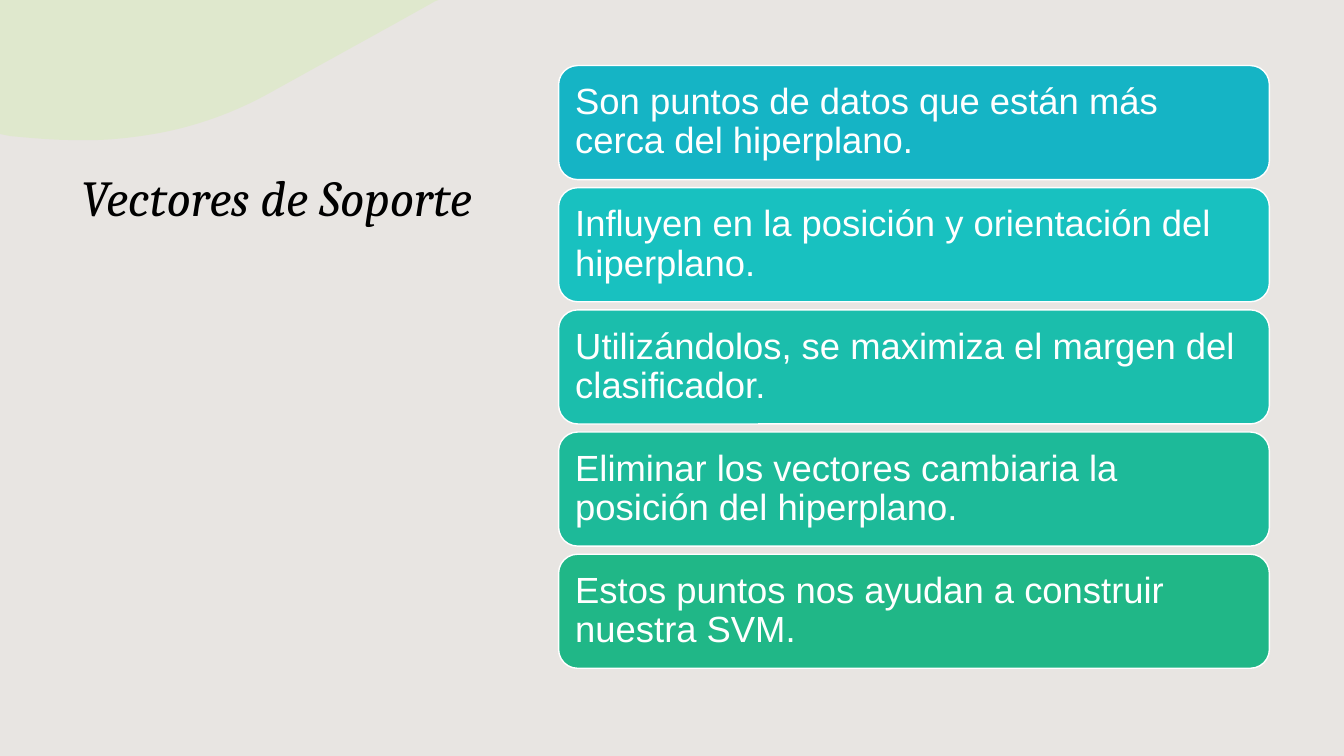
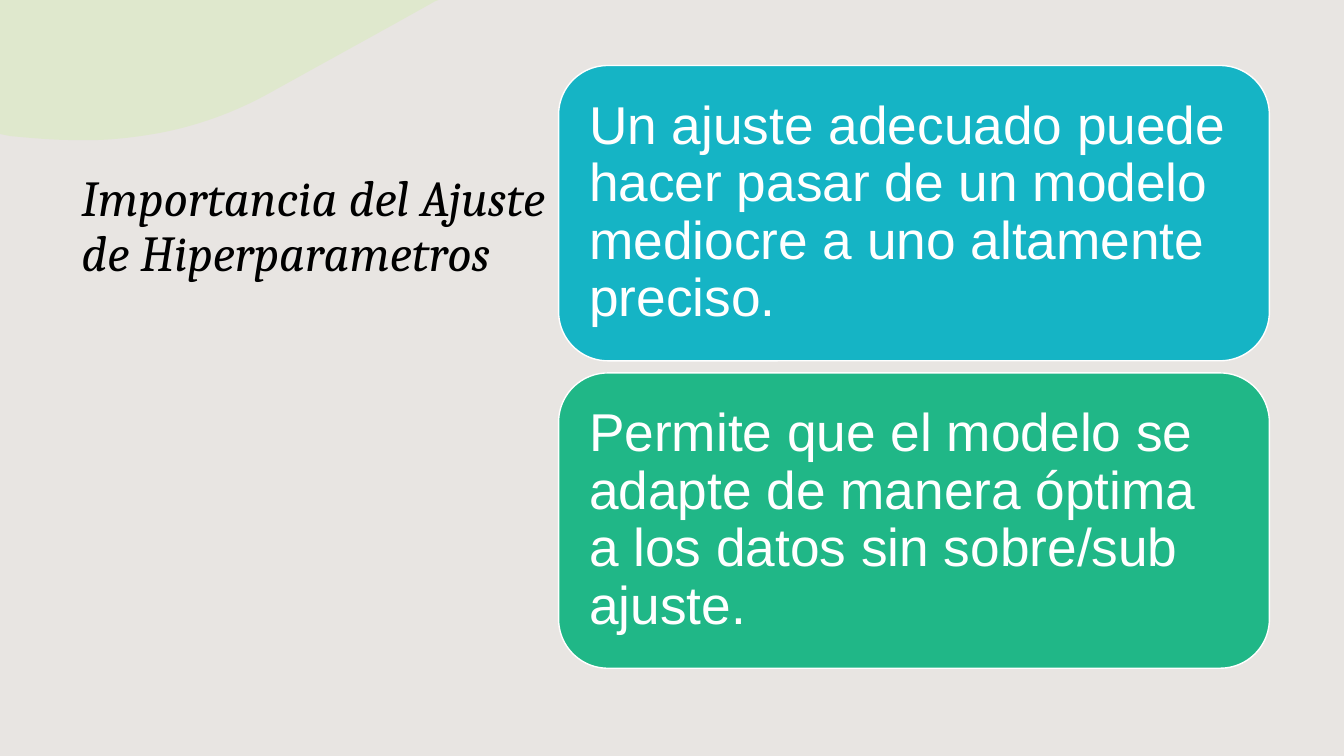
"""Two slides on support vector machines: a serif title beside a stack of cards."""
import pptx
import pptx.util
import pptx.dml.color
import pptx.enum.shapes
import pptx.enum.text
import pptx.oxml.ns
from lxml import etree

Inches, Pt = pptx.util.Inches, pptx.util.Pt
RGB = pptx.dml.color.RGBColor
ANCHOR = pptx.enum.text.MSO_ANCHOR
ALIGN = pptx.enum.text.PP_ALIGN

PAPER = RGB(0xE8, 0xE5, 0xE2)
LEAF = RGB(0xC8, 0xF3, 0x90)
INK = RGB(0, 0, 0)
WHITE = RGB(0xFF, 0xFF, 0xFF)
TEAL = RGB(0x15, 0xB4, 0xC5)
AQUA = RGB(0x18, 0xC1, 0xC0)
JADE = RGB(0x1B, 0xBE, 0xAC)
MINT = RGB(0x1D, 0xBA, 0x99)
GREEN = RGB(0x20, 0xB7, 0x87)

SLIDES = [
    {"title": "Vectores de Soporte", "size": 26, "gap": 0.08, "inset": 0.11,
     "cards": [
         ("Son puntos de datos que están más cerca del hiperplano.", TEAL),
         ("Influyen en la posición y orientación del hiperplano.", AQUA),
         ("Utilizándolos, se maximiza el margen del clasificador.", JADE),
         ("Eliminar los vectores cambiaria la posición del hiperplano.", MINT),
         ("Estos puntos nos ayudan a construir nuestra SVM.", GREEN)]},
    {"title": "Importancia del Ajuste de Hiperparametros", "size": 38, "gap": 0.12, "inset": 0.16,
     "cards": [
         ("Un ajuste adecuado puede hacer pasar de un modelo mediocre a uno altamente preciso.", TEAL),
         ("Permite que el modelo se adapte de manera óptima a los datos sin sobre/sub ajuste.", GREEN)]},
]

TITLE_BOX = (0.71, 1.67, 4.84, 4.97)
STACK = (5.54, 0.65, 7.05, 5.98)
TITLE_FONT = {"name": "Cambria", "size": Pt(36), "italic": True}
CORNER_START = (0.74, 1.39)
CORNER = [
    [(0.53, 1.39), (0.31, 1.37), (0.1, 1.35)],
    [(0, 1.33)], [(0, 0)], [(4.35, 0)], [(4.32, 0.01)],
    [(3.77, 0.32), (3.2, 0.63), (2.68, 0.92)],
    [(2.32, 1.12), (1.95, 1.25), (1.58, 1.32)],
    [(1.3, 1.37), (1.02, 1.4), (0.74, 1.39)],
]
CURVE_STEPS = 16


def bezier(points, t):
    while len(points) > 1:
        points = [tuple(a + (b - a) * t for a, b in zip(p, q))
                  for p, q in zip(points, points[1:])]
    return points[0]


def outline(start, segments):
    pen, points = start, []
    for seg in segments:
        steps = CURVE_STEPS if len(seg) == 3 else 1
        points += [bezier([pen, *seg], i / steps) for i in range(1, steps + 1)]
        pen = seg[-1]
    return points


def write(sp, text, font, color, anchor, insets):
    tf = sp.text_frame
    left, top = (Inches(v) for v in insets)
    frame = {"word_wrap": True, "vertical_anchor": anchor, "margin_left": left,
             "margin_right": left, "margin_top": top, "margin_bottom": top}
    for key, value in frame.items():
        setattr(tf, key, value)
    p = tf.paragraphs[0]
    p.alignment = ALIGN.LEFT
    p.line_spacing = 0.9
    r = p.add_run()
    r.text = text
    for key, value in font.items():
        setattr(r.font, key, value)
    r.font.color.rgb = color


def paint(sp, color):
    sp.shadow.inherit = False
    sp.fill.solid()
    sp.fill.fore_color.rgb = color


def add_corner(s):
    emu = [tuple(Inches(v) for v in pt) for pt in [CORNER_START, *outline(CORNER_START, CORNER)]]
    builder = s.shapes.build_freeform(*emu[0])
    builder.add_line_segments(emu[1:], close=True)
    sp = builder.convert_to_shape()
    paint(sp, LEAF)
    sp.line.fill.background()
    qn = pptx.oxml.ns.qn
    color = sp.fill._xPr.find(qn("a:solidFill")).find(qn("a:srgbClr"))
    etree.SubElement(color, qn("a:alpha")).set("val", "25000")


def add_cards(s, cards, size, gap, inset):
    left, top, width, height = STACK
    card_h = (height - gap * (len(cards) - 1)) / len(cards)
    for i, (text, color) in enumerate(cards):
        box = (left, top + i * (card_h + gap), width, card_h)
        sp = s.shapes.add_shape(pptx.enum.shapes.MSO_SHAPE.ROUNDED_RECTANGLE,
                                *(Inches(v) for v in box))
        paint(sp, color)
        sp.line.color.rgb = WHITE
        sp.line.width = Pt(1)
        write(sp, text, {"name": "Arial", "size": Pt(size)}, WHITE, ANCHOR.MIDDLE, (inset, inset))


def main():
    prs = pptx.Presentation()
    prs.slide_width, prs.slide_height = Inches(13.33), Inches(7.5)
    backdrop = prs.slide_master.background.fill
    backdrop.solid()
    backdrop.fore_color.rgb = PAPER
    for data in SLIDES:
        s = prs.slides.add_slide(prs.slide_layouts[6])
        title = s.shapes.add_textbox(*(Inches(v) for v in TITLE_BOX))
        write(title, data["title"], TITLE_FONT, INK, ANCHOR.TOP, (0.1, 0.05))
        add_corner(s)
        add_cards(s, data["cards"], data["size"], data["gap"], data["inset"])
    prs.save("out.pptx")


if __name__ == "__main__":
    main()
